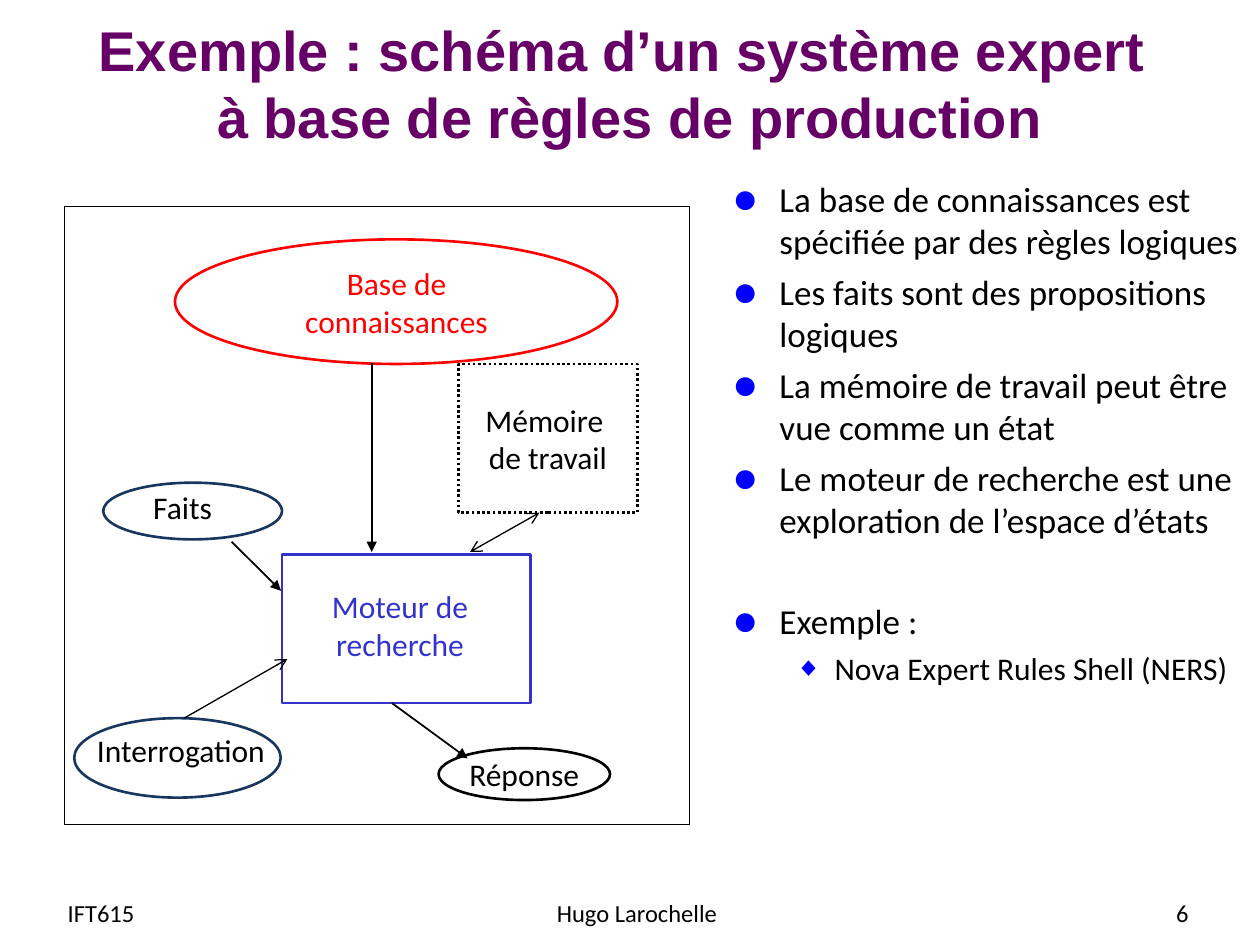
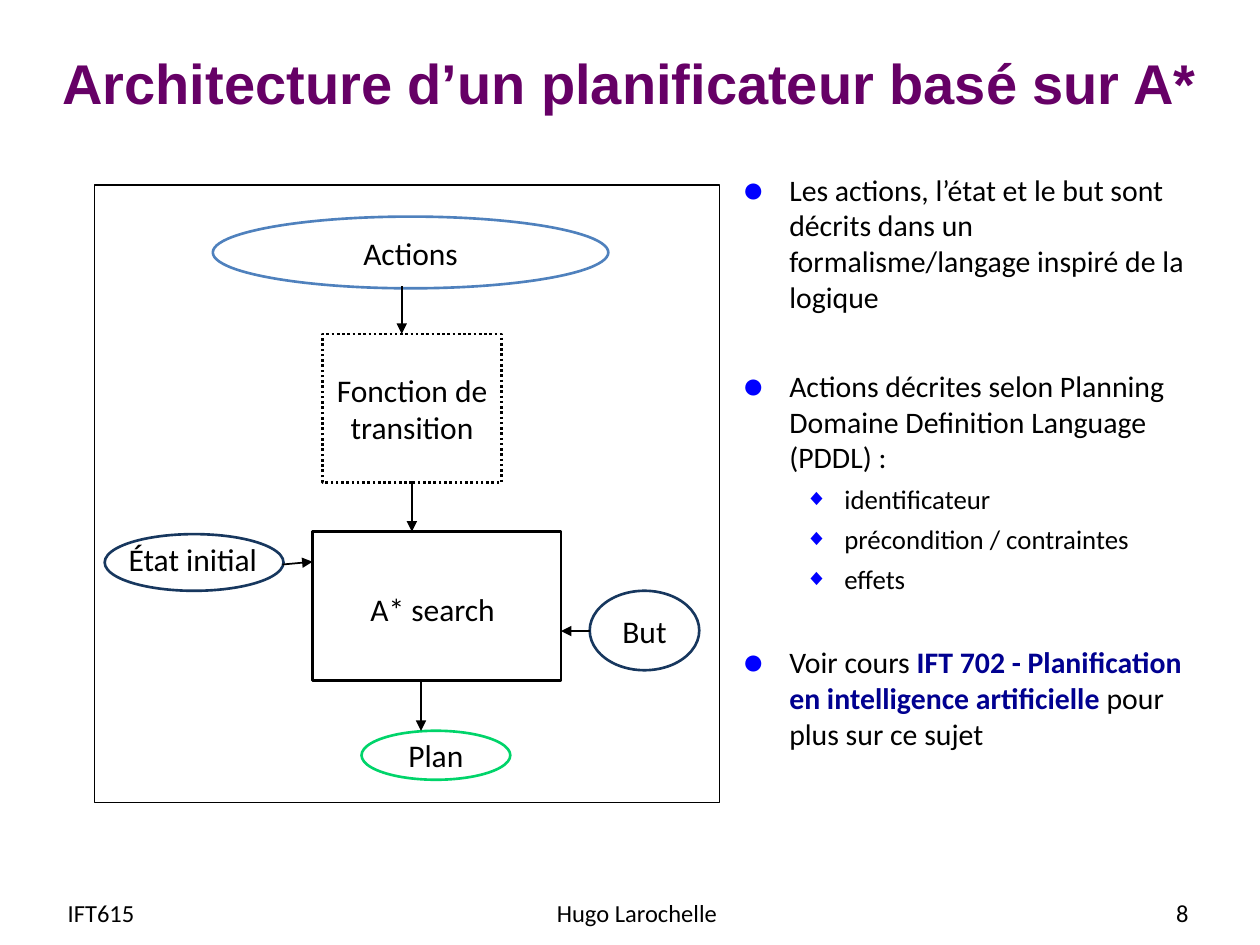
import lxml.etree
import pptx
import pptx.dml.color
import pptx.enum.dml
import pptx.enum.shapes
import pptx.enum.text
import pptx.oxml.ns
import pptx.util

Pt = pptx.util.Pt
RGBColor = pptx.dml.color.RGBColor
ALIGN = pptx.enum.text.PP_ALIGN
MIDDLE = pptx.enum.text.MSO_ANCHOR.MIDDLE
ELLIPSE = pptx.enum.shapes.MSO_SHAPE.OVAL
RECTANGLE = pptx.enum.shapes.MSO_SHAPE.RECTANGLE

BLACK = RGBColor(0x00, 0x00, 0x00)
RED = RGBColor(0xFF, 0x00, 0x00)
PURPLE = RGBColor(0x66, 0x00, 0x66)
INDIGO = RGBColor(0x33, 0x33, 0xCC)
NAVY = RGBColor(0x17, 0x37, 0x5E)
STEEL = RGBColor(0x4F, 0x81, 0xBD)
GREEN = RGBColor(0x00, 0xD4, 0x6A)
COURSE_BLUE = RGBColor(0x00, 0x00, 0x90)
BULLET_BLUE = "0000FF"

TITLE_FONT, TEXT_FONT = "Arial", "Calibri"
TITLE_BOX = (18, 8, 684, 78)
FRAME_SIZE = (357.2, 353)
INPUT_SIZE = (102.2, 32.4)
MEMORY_SIZE = (102.2, 85)
ENGINE_SIZE = (142, 85)

# Per list level: bullet, its size in thousandths of a percent, indent, hanging, space before
LEVELS = [("●", 125000, 27, 27, 5), ("◆", 85000, 58.5, 22.5, 4.5)]

# Footer: text (None for the slide number), left, width, alignment
FOOTER_TOP, FOOTER_HEIGHT = 507, 29
FOOTERS = [
    ("IFT615", 31.6, 139, ALIGN.LEFT),
    ("Hugo Larochelle", 250, 228, ALIGN.CENTER),
    (None, 518.4, 167.8, ALIGN.RIGHT),
]

# Nodes: text, preset, position, size, line colour, text colour, dotted, label box if off-centre
# Arrows: from, to, line width, head, tail
# Bullets: level, extra space before, runs of (text, bold)
SLIDES = [
    {
        "number": 6,
        "title": ["Exemple : schéma d’un système expert ", "à base de règles de production"],
        "frame": (36.8, 118),
        "nodes": [
            ("Base de connaissances", ELLIPSE, (100, 136.8), (252.8, 71.2), RED, RED, False,
             (171.6, 150.6, 110, 44)),
            ("Mémoire \nde travail", RECTANGLE, (262, 208), MEMORY_SIZE, BLACK, BLACK, True, None),
            ("Moteur de recherche", RECTANGLE, (161.2, 316.8), ENGINE_SIZE, INDIGO, INDIGO, False,
             (160.6, 332, 136, 50)),
            ("Réponse", ELLIPSE, (250.6, 427.6), (98, 29.6), BLACK, BLACK, False, None),
            ("Interrogation", ELLIPSE, (42.4, 410.4), (118, 45.4), NAVY, BLACK, False,
             (44.4, 406, 118, 45.4)),
            ("Faits", ELLIPSE, (59, 275.8), INPUT_SIZE, NAVY, BLACK, False,
             (64.8, 275.8, 79.2, 28)),
        ],
        "arrows": [
            ((212.4, 207.4), (212.4, 315.4), 1, None, "triangle"),
            ((224, 401.8), (267.2, 433.4), 1, None, "triangle"),
            ((132.4, 309.6), (160.6, 337.6), 1, None, "triangle"),
            ((268.6, 315.4), (308.2, 293), 0.75, "arrow", "arrow"),
            ((105.2, 410.4), (164.2, 376.6), 0.75, None, "arrow"),
        ],
        "body_box": (411.2, 98, 308.8, 396),
        "body_sizes": (20, 18),
        "bullets": [
            (0, 0, [("La base de connaissances est spécifiée par des règles logiques", False)]),
            (0, 0, [("Les faits sont des propositions logiques", False)]),
            (0, 0, [("La mémoire de travail peut être vue comme un état", False)]),
            (0, 0, [("Le moteur de recherche est une exploration de l’espace d’états", False)]),
            (0, 29, [("Exemple :", False)]),
            (1, 0, [("Nova Expert Rules Shell (NERS)", False)]),
        ],
    },
    {
        "number": 8,
        "title": ["Architecture d’un planificateur basé sur A*"],
        "frame": (54, 105.8),
        "nodes": [
            ("Actions", ELLIPSE, (121.6, 123.8), (226, 41), STEEL, BLACK, False, None),
            ("Fonction de\ntransition", RECTANGLE, (184.4, 190.8), MEMORY_SIZE, BLACK, BLACK, True,
             None),
            ("A* search", RECTANGLE, (178.6, 303.8), ENGINE_SIZE, BLACK, BLACK, False,
             (179.2, 333.4, 136, 28.8)),
            ("Plan", ELLIPSE, (206.6, 417.6), (85, 28), GREEN, BLACK, False, None),
            ("But", ELLIPSE, (337, 337.6), (62.6, 45.4), NAVY, BLACK, False, None),
            ("État initial", ELLIPSE, (59.8, 305.2), INPUT_SIZE, NAVY, BLACK, False,
             (70.6, 305.2, 79.2, 28)),
        ],
        "arrows": [
            ((229.6, 163.6), (229.6, 190.8), 1, None, "triangle"),
            ((235.4, 275.8), (235.4, 303.8), 1, None, "triangle"),
            ((240.6, 388.8), (240.6, 417.6), 1, None, "triangle"),
            ((337, 360.6), (320.6, 360.6), 1, None, "triangle"),
            ((161.4, 322.6), (178.6, 321), 1, None, "triangle"),
        ],
        "body_box": (416.8, 94.4, 283.6, 396),
        "body_sizes": (17, 15.3),
        "bullets": [
            (0, 0, [("Les actions, l’état et le but sont décrits dans un formalisme/langage "
                     "inspiré de la logique", False)]),
            (0, 25.5, [("Actions décrites selon Planning Domaine Definition Language (PDDL) :",
                        False)]),
            (1, 0, [("identificateur", False)]),
            (1, 0, [("précondition / contraintes", False)]),
            (1, 0, [("effets", False)]),
            (0, 23, [("Voir cours ", False),
                     ("IFT 702 - Planification en intelligence artificielle ", True),
                     ("pour plus sur ce sujet", False)]),
        ],
    },
]


def points(values):
    return [Pt(value) for value in values]


def add_element(parent, tag, **attributes):
    return lxml.etree.SubElement(parent, pptx.oxml.ns.qn(tag), **attributes)


def place(shape, box):
    shape.left, shape.top, shape.width, shape.height = points(box)


def add_run(paragraph, text, size, color=BLACK, bold=False, font=TEXT_FONT):
    run = paragraph.add_run()
    run.text = text
    run.font.name, run.font.size, run.font.bold = font, Pt(size), bold
    run.font.color.rgb = color


def write_label(shape, text, color, size=18, align=ALIGN.CENTER, side_margin=0):
    frame = shape.text_frame
    frame.word_wrap = True
    frame.vertical_anchor = MIDDLE
    frame.margin_left = frame.margin_right = Pt(side_margin)
    frame.margin_top = frame.margin_bottom = 0
    for index, line in enumerate(text.split("\n")):
        paragraph = frame.add_paragraph() if index else frame.paragraphs[0]
        paragraph.alignment = align
        add_run(paragraph, line, size, color)


def add_outline(slide, preset, position, size, color, width):
    outline = slide.shapes.add_shape(preset, *points(position + size))
    outline.shadow.inherit = False
    outline.fill.background()
    outline.line.color.rgb = color
    outline.line.width = Pt(width)
    return outline


def add_node(slide, text, preset, position, size, line_color, text_color, dotted, label_box):
    node = add_outline(slide, preset, position, size, line_color, 1.5)
    if dotted:
        node.line.dash_style = pptx.enum.dml.MSO_LINE.ROUND_DOT
    label = slide.shapes.add_textbox(*points(label_box)) if label_box else node
    write_label(label, text, text_color)


def add_arrow(slide, start, end, width, head, tail):
    straight = pptx.enum.shapes.MSO_CONNECTOR.STRAIGHT
    arrow = slide.shapes.add_connector(straight, *points(start + end))
    arrow.line.color.rgb = BLACK
    arrow.line.width = Pt(width)
    properties = arrow.element.spPr
    line = properties.find(pptx.oxml.ns.qn("a:ln"))
    for tag, kind in (("a:headEnd", head), ("a:tailEnd", tail)):
        if kind:
            add_element(line, tag, type=kind)
    add_element(properties, "a:effectLst")


def write_title(title, lines):
    place(title, TITLE_BOX)
    frame = title.text_frame
    frame.auto_size = pptx.enum.text.MSO_AUTO_SIZE.NONE
    frame.vertical_anchor = MIDDLE
    paragraph = frame.paragraphs[0]
    paragraph.alignment = ALIGN.CENTER
    for index, line in enumerate(lines):
        if index:
            paragraph.add_line_break()
        add_run(paragraph, line, 32, PURPLE, True, TITLE_FONT)


def format_bullet(paragraph, level):
    symbol, scale, indent, hanging, _ = LEVELS[level]
    paragraph.level = level
    properties = paragraph._p.get_or_add_pPr()
    properties.set("marL", str(Pt(indent)))
    properties.set("indent", str(-Pt(hanging)))
    add_element(add_element(properties, "a:buClr"), "a:srgbClr", val=BULLET_BLUE)
    add_element(properties, "a:buSzPct", val=str(scale))
    add_element(properties, "a:buFont", typeface=TITLE_FONT)
    add_element(properties, "a:buChar", char=symbol)


def write_body(body, content):
    place(body, content["body_box"])
    frame = body.text_frame
    frame.auto_size = pptx.enum.text.MSO_AUTO_SIZE.NONE
    for index, (level, extra_space, runs) in enumerate(content["bullets"]):
        paragraph = frame.add_paragraph() if index else frame.paragraphs[0]
        paragraph.space_before = Pt(LEVELS[level][-1] + extra_space)
        format_bullet(paragraph, level)
        for text, bold in runs:
            color = COURSE_BLUE if bold else BLACK
            add_run(paragraph, text, content["body_sizes"][level], color, bold)


def add_footers(slide, number):
    for text, left, width, align in FOOTERS:
        footer = slide.shapes.add_textbox(*points((left, FOOTER_TOP, width, FOOTER_HEIGHT)))
        write_label(footer, text or str(number), BLACK, 14, align, 7.2)


def build_slide(deck, content):
    slide = deck.slides.add_slide(deck.slide_layouts[1])
    write_title(slide.shapes.title, content["title"])
    write_body(slide.placeholders[1], content)
    add_outline(slide, RECTANGLE, content["frame"], FRAME_SIZE, BLACK, 0.75)
    for node in content["nodes"]:
        add_node(slide, *node)
    for arrow in content["arrows"]:
        add_arrow(slide, *arrow)
    add_footers(slide, content["number"])


def main():
    deck = pptx.Presentation()
    deck.slide_width, deck.slide_height = Pt(720), Pt(540)
    for content in SLIDES:
        build_slide(deck, content)
    deck.save("out.pptx")


if __name__ == "__main__":
    main()
